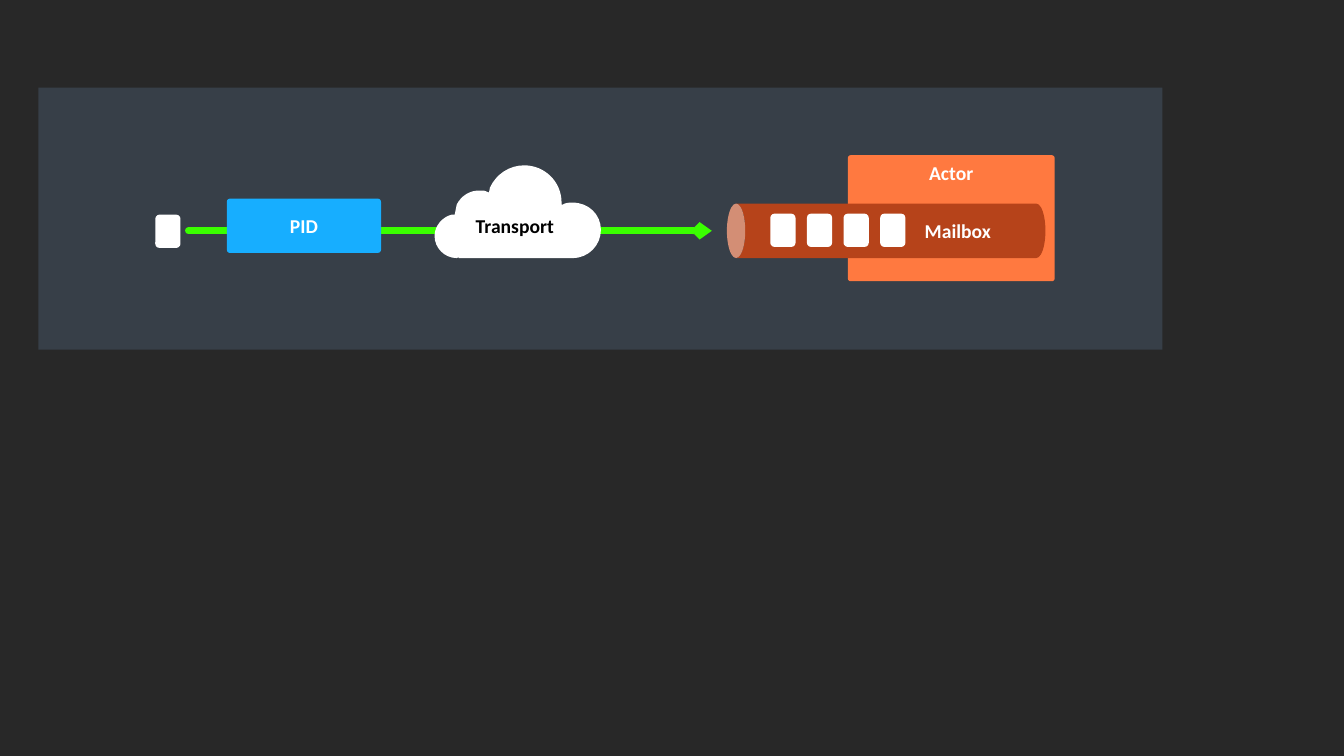
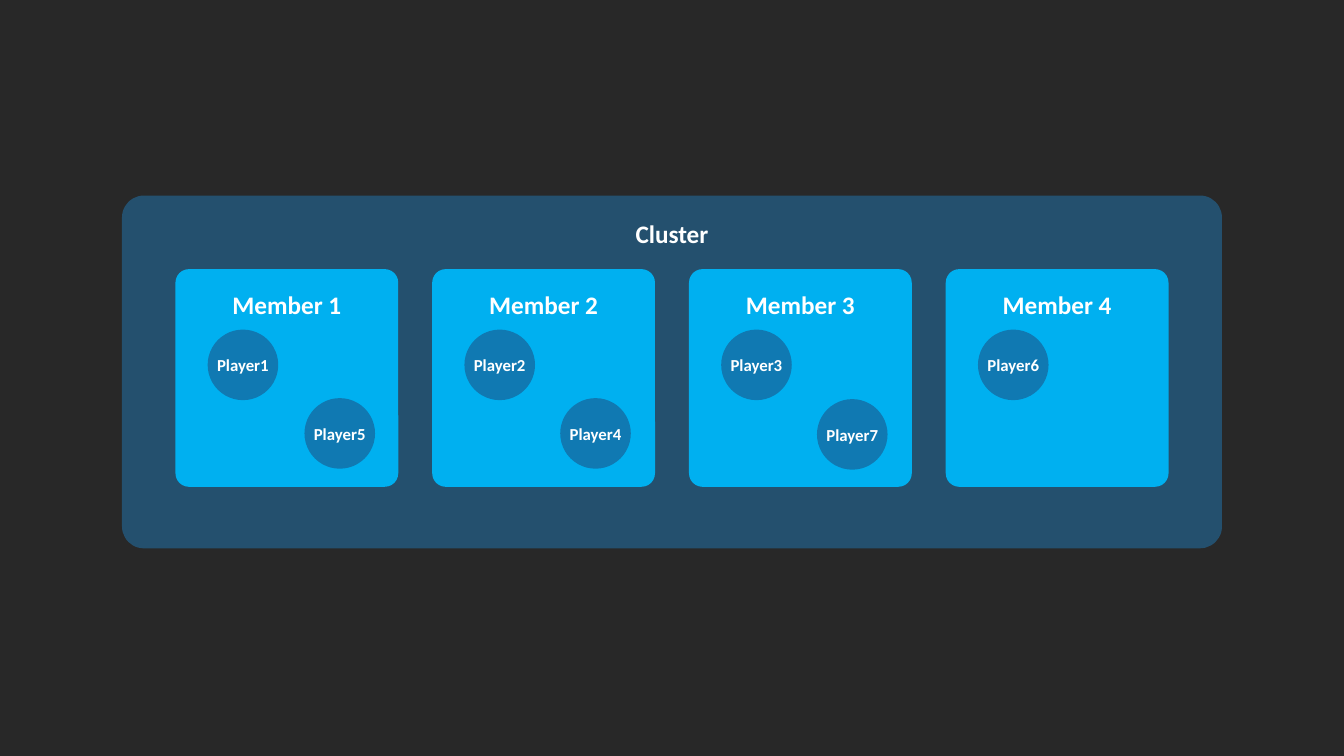
"""Build two diagrams: message delivery to an actor, and players spread over a cluster."""
import pptx
import pptx.dml.color
import pptx.enum.shapes
import pptx.enum.text
import pptx.oxml
import pptx.oxml.ns
import pptx.util

Inches = pptx.util.Inches
MSO = pptx.enum.shapes.MSO_SHAPE
ANCHOR = pptx.enum.text.MSO_ANCHOR
ALIGN = pptx.enum.text.PP_ALIGN
rgb = pptx.dml.color.RGBColor.from_string

DARK = "282828"
WHITE = "FFFFFF"
BLACK = "000000"
PANEL = "373F48"
GREEN = "3AFF00"
PID_BLUE = "17AEFF"
ORANGE = "FF7940"
RUST = "B6431A"
NAVY = "24506E"
SKY = "00B0F0"
PLAYER_BLUE = "1079B2"


def box(s, kind, x, y, w, h, fill=None, adj=None, text="", size=14, color=WHITE,
        align=ALIGN.CENTER, anchor=ANCHOR.MIDDLE, top=0.05, wrap=True):
    place = Inches(x), Inches(y), Inches(w), Inches(h)
    if fill:
        sp = s.shapes.add_shape(kind, *place)
        sp.shadow.inherit = False
        sp.line.fill.background()
        sp.fill.solid()
        sp.fill.fore_color.rgb = rgb(fill)
    else:
        sp = s.shapes.add_textbox(*place)
    if adj is not None:
        sp.adjustments[0] = adj
    if text:
        tf = sp.text_frame
        tf.word_wrap = wrap
        tf.vertical_anchor = anchor
        tf.margin_top = Inches(top)
        p = tf.paragraphs[0]
        p.alignment = align
        r = p.add_run()
        r.text = text
        r.font.name = "Calibri"
        r.font.size = pptx.util.Pt(size)
        r.font.bold = True
        r.font.color.rgb = rgb(color)
    return sp


prs = pptx.Presentation()
prs.slide_width = Inches(13.33)
prs.slide_height = Inches(7.5)
bg = prs.slide_master.background.fill
bg.solid()
bg.fore_color.rgb = rgb(DARK)
blank = prs.slide_layouts[6]
ns = pptx.oxml.ns.nsdecls("a")

s = prs.slides.add_slide(blank)
box(s, MSO.RECTANGLE, 0.38, 0.87, 11.15, 2.6, PANEL)

route = s.shapes.add_connector(pptx.enum.shapes.MSO_CONNECTOR.STRAIGHT,
                               Inches(1.87), Inches(2.29), Inches(7.06), Inches(2.29))
route.line.color.rgb = rgb(GREEN)
route.line.width = pptx.util.Pt(5)
ln = route.line._get_or_add_ln()
ln.set("cap", "rnd")
ln.append(pptx.oxml.parse_xml(f'<a:tailEnd {ns} type="arrow" w="sm" len="sm"/>'))
ln.addnext(pptx.oxml.parse_xml(f"<a:effectLst {ns}/>"))

box(s, MSO.ROUNDED_RECTANGLE, 2.25, 1.97, 1.53, 0.54, PID_BLUE, 0.062, "PID")
box(s, MSO.ROUNDED_RECTANGLE, 8.41, 1.54, 2.05, 1.25, ORANGE, 0.02, "Actor", anchor=ANCHOR.TOP)
mailbox = box(s, MSO.CAN, 8.52, 0.71, 0.54, 3.16, RUST, 0.337)
mailbox.rotation = 270
box(s, MSO.RECTANGLE, 8.86, 2.17, 1.28, 0.24, text="Mailbox")
message_pitch = (8.73 - 7.64) / 3
messages = [(7.64 + message_pitch * i, 2.12) for i in range(4)] + [(1.54, 2.13)]
for x, y in messages:
    box(s, MSO.ROUNDED_RECTANGLE, x, y, 0.25, 0.33, WHITE)

cloud_start = (5.2, 1.64)
cloud_outline = [
    (5.4, 1.64, 5.57, 1.8, 5.57, 2.01),
    (5.57, 2.03),
    (5.58, 2.03),
    (5.61, 2.01, 5.65, 2.01, 5.68, 2.01),
    (5.84, 2.01, 5.96, 2.13, 5.96, 2.28),
    (5.96, 2.43, 5.84, 2.56, 5.68, 2.56),
    (4.55, 2.56),
    (4.55, 2.55),
    (4.53, 2.56),
    (4.41, 2.56, 4.31, 2.46, 4.31, 2.34),
    (4.31, 2.24, 4.39, 2.15, 4.48, 2.13),
    (4.51, 2.13),
    (4.53, 2.03),
    (4.57, 1.95, 4.65, 1.89, 4.75, 1.89),
    (4.77, 1.89, 4.79, 1.89, 4.8, 1.89),
    (4.85, 1.91),
    (4.86, 1.86),
    (4.92, 1.73, 5.05, 1.64, 5.2, 1.64),
]
fb = s.shapes.build_freeform(Inches(cloud_start[0]), Inches(cloud_start[1]))
fb.add_line_segments([(Inches(seg[-2]), Inches(seg[-1])) for seg in cloud_outline], close=True)
cloud = fb.convert_to_shape()
cloud.shadow.inherit = False
cloud.fill.solid()
cloud.fill.fore_color.rgb = rgb(WHITE)
cloud.line.fill.background()
edges = list(cloud._element.iter(pptx.oxml.ns.qn("a:lnTo")))
for edge, seg in zip(edges, cloud_outline):
    if len(seg) == 6:
        pts = "".join(f'<a:pt x="{Inches(x) - cloud.left}" y="{Inches(y) - cloud.top}"/>'
                      for x, y in zip(seg[::2], seg[1::2]))
        curve = pptx.oxml.parse_xml(f"<a:cubicBezTo {ns}>{pts}</a:cubicBezTo>")
        edge.getparent().replace(edge, curve)
box(s, MSO.RECTANGLE, 4.62, 2.07, 0.98, 0.34, WHITE, text="Transport", color=BLACK,
    align=ALIGN.LEFT, wrap=False)

s = prs.slides.add_slide(blank)
titled = dict(adj=0.062, size=18, anchor=ANCHOR.TOP, top=0.16)
box(s, MSO.ROUNDED_RECTANGLE, 1.21, 1.94, 10.91, 3.5, NAVY, text="Cluster", **titled)
upper = (0.32, 3.27)
members = [
    [("Player1", upper), ("Player5", (1.28, 3.95))],
    [("Player2", upper), ("Player4", (1.27, 3.95))],
    [("Player3", upper), ("Player7", (1.27, 3.96))],
    [("Player6", upper)],
]
member_pitch = (9.38 - 1.74) / 3
for i, players in enumerate(members):
    left = 1.74 + member_pitch * i
    box(s, MSO.ROUNDED_RECTANGLE, left, 2.67, 2.21, 2.16, SKY, text=f"Member {i + 1}", **titled)
    for player, (dx, y) in players:
        box(s, MSO.OVAL, left + dx, y, 0.7, 0.7, PLAYER_BLUE,
            text=player, size=12, wrap=False)

prs.save("out.pptx")
